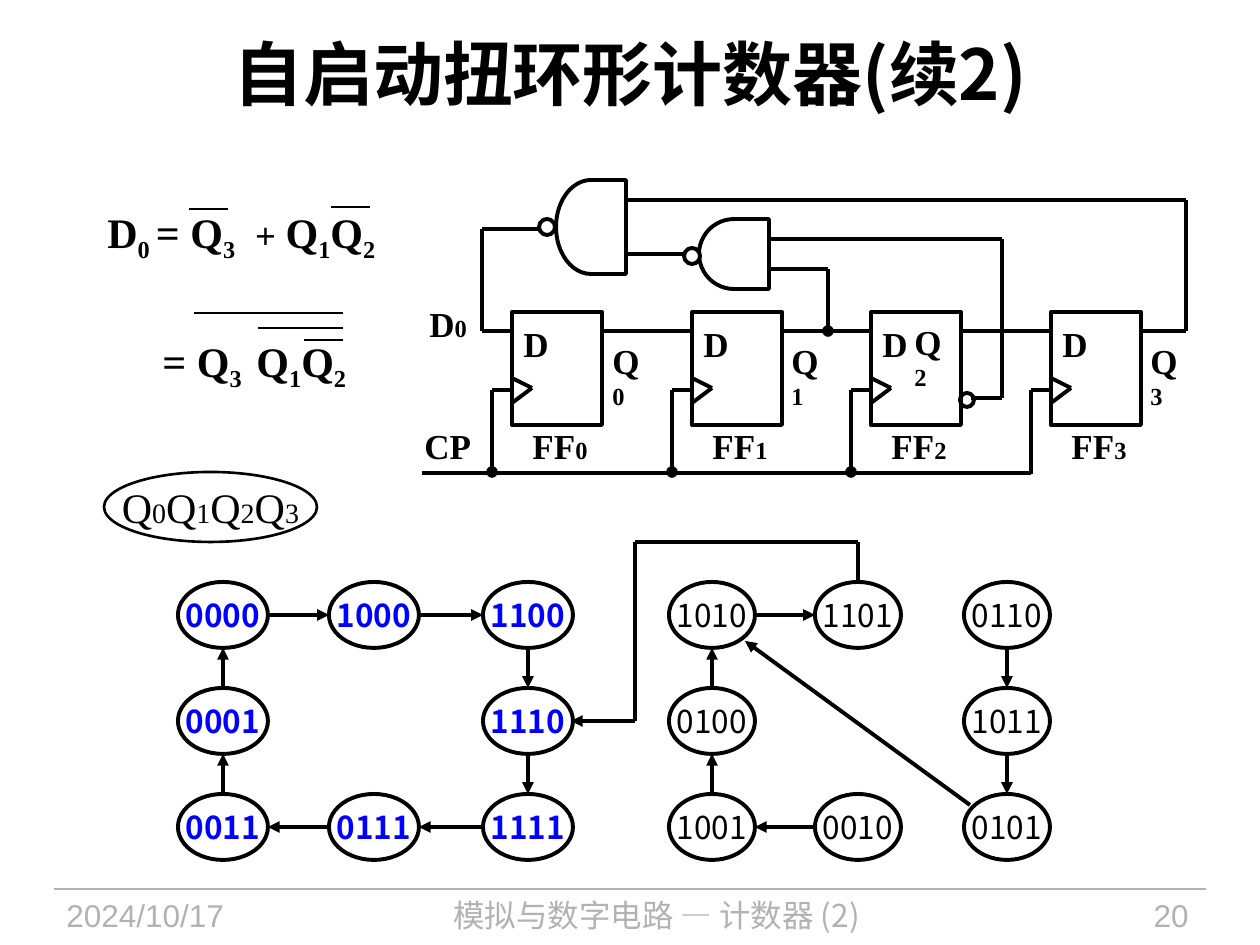
from collections import namedtuple

from lxml import etree
from pptx import Presentation
from pptx.dml.color import RGBColor
from pptx.enum.shapes import MSO_CONNECTOR, MSO_SHAPE
from pptx.enum.text import MSO_ANCHOR, PP_ALIGN
from pptx.oxml.ns import qn
from pptx.util import Pt

PX = 914400 / 126
BLACK = RGBColor(0x00, 0x00, 0x00)
WHITE = RGBColor(0xFF, 0xFF, 0xFF)
BLUE = RGBColor(0x00, 0x00, 0xFF)
GRAY = RGBColor(0xB2, 0xB2, 0xB2)
RECT, OVAL, GATE = MSO_SHAPE.RECTANGLE, MSO_SHAPE.OVAL, MSO_SHAPE.FLOWCHART_DELAY
LEFT, CENTER, RIGHT = PP_ALIGN.LEFT, PP_ALIGN.CENTER, PP_ALIGN.RIGHT
CJK = "Noto Sans CJK SC"

Style = namedtuple("Style", "size font bold color baseline")
SIGNAL = Style(20, "Times New Roman", True, BLACK, 0)
INDEX = SIGNAL._replace(size=14)
TERM = SIGNAL._replace(size=24)
TERM_SUB = TERM._replace(baseline=-25000)
PLUS = Style(20, "Arial", False, BLACK, 0)
STATE = Style(18, CJK, False, BLACK, 0)
VALID_STATE = STATE._replace(bold=True, color=BLUE)
KEY = TERM._replace(bold=False)
KEY_INDEX = KEY._replace(size=16)
TITLE = Style(40, CJK, True, BLACK, 0)
FOOTER = Style(18, "Arial", False, GRAY, 0)

presentation = Presentation()
presentation.slide_width, presentation.slide_height = round(1260 * PX), round(945 * PX)
slide = presentation.slides.add_slide(presentation.slide_layouts[5])


def write_runs(frame, runs, align):
    paragraph = frame.paragraphs[0]
    paragraph.alignment = align
    for text, style in runs:
        run = paragraph.add_run()
        run.text = text
        run.font.size = Pt(style.size)
        run.font.bold = style.bold
        run.font.name = style.font
        run.font.color.rgb = style.color
        properties = run._r.get_or_add_rPr()
        if style.font == CJK:
            etree.SubElement(properties, qn("a:ea"), typeface=CJK)
        if style.baseline:
            properties.set("baseline", str(style.baseline))


def add_path(points, end=None, width=2.25, color=BLACK):
    """Join the points with straight segments; `end` is the head at the last point."""
    segments = list(zip(points, points[1:]))
    for number, (start, stop) in enumerate(segments, 1):
        ends = [round(value * PX) for value in start + stop]
        segment = slide.shapes.add_connector(MSO_CONNECTOR.STRAIGHT, *ends)
        segment.line.width = Pt(width)
        segment.line.color.rgb = color
        if end and number == len(segments):
            etree.SubElement(segment.line._get_or_add_ln(), qn("a:tailEnd"), type=end)
        etree.SubElement(segment._element.spPr, qn("a:effectLst"))


title = slide.shapes.title
title.left, title.top, title.width, title.height = [round(v * PX) for v in (63, 11, 1134, 122)]
title.text_frame.vertical_anchor = MSO_ANCHOR.MIDDLE
write_runs(title.text_frame, [("自启动扭环形计数器(续2)", TITLE)], CENTER)

# Labels: box, runs, alignment. Outlines: shape, box, fill, line width, runs.
labels = [
    ((54, 890, 237, 55), [("2024/10/17", FOOTER)], LEFT),
    ((302, 890, 709, 55), [("模拟与数字电路 — 计数器 (2)", FOOTER._replace(font=CJK))], CENTER),
    ((1033, 890, 168, 55), [("20", FOOTER)], RIGHT),
    ((417, 296, 63, 54), [("D", SIGNAL), ("0", INDEX)], LEFT),
    ((412, 418, 72, 54), [("CP", SIGNAL)], LEFT),
    ((95, 200, 157, 63),
     [("D", TERM), ("0 ", TERM_SUB), ("= Q", TERM), ("3", TERM_SUB)], LEFT),
    ((243, 200, 152, 63),
     [("+ ", PLUS), ("Q", TERM), ("1", TERM_SUB), ("Q", TERM), ("2", TERM_SUB)], LEFT),
    ((150, 329, 106, 63), [("= Q", TERM), ("3", TERM_SUB)], LEFT),
    ((244, 329, 122, 63),
     [("Q", TERM), ("1", TERM_SUB), ("Q", TERM), ("2", TERM_SUB)], LEFT),
]
outlines = [
    (GATE, (699, 219, 70, 70), True, 2.25, []),
    (OVAL, (684, 248, 16, 16), True, 2.25, []),
    (GATE, (556, 180, 70, 94), True, 2.25, []),
    (OVAL, (539, 219, 16, 16), True, 2.25, []),
    (OVAL, (960, 393, 14, 14), False, 2.25, []),
]

add_path([(54, 889), (1206, 889)], width=0.75, color=GRAY)

# Negation bars of the two equations
for bar_left, bar_right, bar_y in [(189, 228, 209), (331, 370, 207), (304, 343, 340),
                                   (258, 343, 328), (194, 343, 313)]:
    add_path([(bar_left, bar_y), (bar_right, bar_y)], width=1.5)

# Flip-flops with their clock inputs
flip_flops = [512, 692, 871, 1051]
q_labels = [(600, 333), (779, 333), (902, 314), (1138, 333)]
for number, (x, q_corner) in enumerate(zip(flip_flops, q_labels)):
    last = number == len(flip_flops) - 1
    outlines.append((RECT, (x, 312, 90, 113), False, 2.25, []))
    add_path([(x, 378), (x + 20, 388), (x, 403)])
    add_path([(x, 390), (x - 20, 390), (x - 20, 474 if last else 472)],
             end=None if last else "oval")
    if not last:
        add_path([(x + 90, 331), (flip_flops[number + 1], 331)])
    labels += [
        ((x - 1, 316, 50, 54), [("D", SIGNAL)], LEFT),
        ((x + 8, 418, 80, 54), [("FF", SIGNAL), (str(number), INDEX)], LEFT),
        (q_corner + (64, 54), [("Q", SIGNAL), (str(number), INDEX)], LEFT),
    ]

# Clock line and feedback through the gates
add_path([(422, 473), (1031, 473)])
add_path([(1141, 331), (1186, 331), (1186, 200), (626, 200)])
add_path([(971, 398), (1002, 398), (1002, 239), (769, 239)])
add_path([(769, 269), (828, 269), (828, 331)], end="oval")
add_path([(684, 254), (626, 254)])
add_path([(540, 229), (482, 229), (482, 331), (512, 331)])

# State diagram
columns = [223, 374, 528, 712, 858, 1007]
rows = [615, 721, 827]
state_grid = [
    ["0000", "1000", "1100", "1010", "1101", "0110"],
    ["0001", None, "1110", "0100", None, "1011"],
    ["0011", "0111", "1111", "1001", "0010", "0101"],
]
centers = {}
for row_y, states in zip(rows, state_grid):
    for column, (column_x, state) in enumerate(zip(columns, states)):
        if state:
            valid = column < 3
            width = 90 if valid else 86
            centers[state] = (column_x, row_y, width // 2)
            outlines.append((OVAL, (column_x - width // 2, row_y - 33, width, 66), False, 2.25,
                             [(state, VALID_STATE if valid else STATE)]))

chains = [
    ["0000", "1000", "1100", "1110", "1111", "0111", "0011", "0001", "0000"],
    ["0010", "1001", "0100", "1010", "1101"],
    ["0110", "1011", "0101"],
]
for chain in chains:
    for source, target in zip(chain, chain[1:]):
        x1, y1, half1 = centers[source]
        x2, y2, half2 = centers[target]
        step_x = (x2 > x1) - (x2 < x1)
        step_y = (y2 > y1) - (y2 < y1)
        add_path([(x1 + step_x * half1, y1 + step_y * 33),
                  (x2 - step_x * half2, y2 - step_y * 33)], end="triangle")
add_path([(970, 805), (745, 641)], end="triangle")
add_path([(858, 582), (858, 542), (635, 542), (635, 721), (571, 721)], end="triangle")

state_key = [run for digit in "0123" for run in (("Q", KEY), (digit, KEY_INDEX))]
outlines.append((OVAL, (104, 472, 213, 70), False, 1.5, state_key))

for kind, box, filled, line_width, runs in outlines:
    outline = slide.shapes.add_shape(kind, *[round(value * PX) for value in box])
    outline.shadow.inherit = False
    outline.rotation = 180 if kind == GATE else 0
    if filled:
        outline.fill.solid()
        outline.fill.fore_color.rgb = WHITE
    else:
        outline.fill.background()
    outline.line.color.rgb = BLACK
    outline.line.width = Pt(line_width)
    if runs:
        outline.text_frame.word_wrap = False
        outline.text_frame.vertical_anchor = MSO_ANCHOR.MIDDLE
        write_runs(outline.text_frame, runs, CENTER)

for box, runs, align in labels:
    label = slide.shapes.add_textbox(*[round(value * PX) for value in box])
    label.text_frame.word_wrap = runs[0][1].color == GRAY
    write_runs(label.text_frame, runs, align)

presentation.save("out.pptx")
